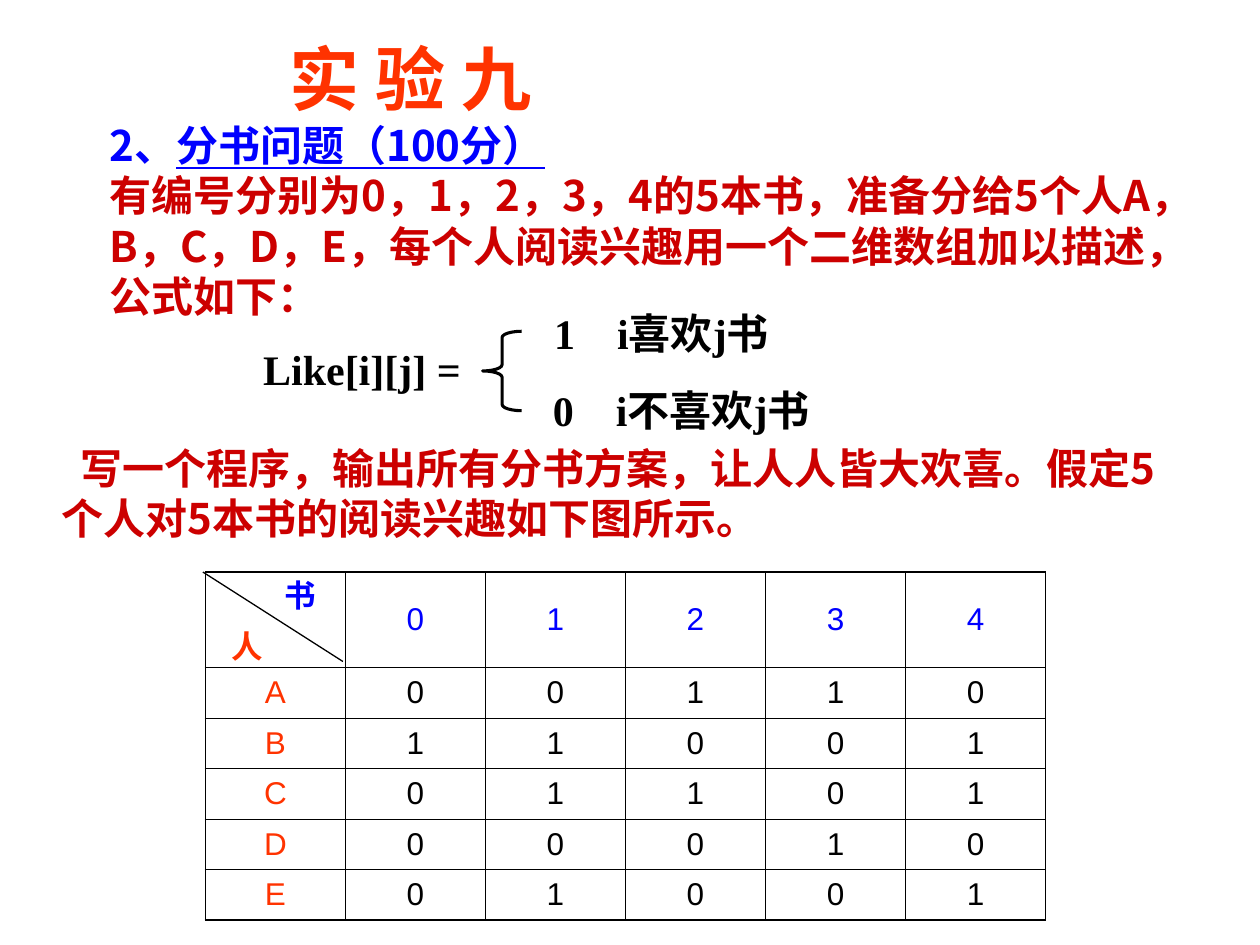
import collections

import pptx
import pptx.dml.color
import pptx.enum.shapes
import pptx.enum.text
import pptx.oxml
import pptx.oxml.ns
import pptx.util

RGBColor = pptx.dml.color.RGBColor
BLACK = RGBColor(0x00, 0x00, 0x00)
BLUE = RGBColor(0x00, 0x00, 0xFF)
ORANGE = RGBColor(0xFF, 0x33, 0x00)
RED = RGBColor(0xCC, 0x00, 0x00)
HEITI, SERIF, SANS = "Noto Sans CJK SC", "Times New Roman", "Arial"
ALIGN = pptx.enum.text.PP_ALIGN
ANCHOR = pptx.enum.text.MSO_ANCHOR

GRID = pptx.util.Inches(0.1)  # the slide is 100 columns by 75 rows
Box = collections.namedtuple("Box", "column row columns rows")

BOOKS = "01234"
LIKES = {"A": "00110", "B": "11001", "C": "01101", "D": "00010", "E": "01001"}


def grid(count):
    return pptx.util.Emu(round(count * GRID))


def place(shape, box):
    shape.left, shape.top, shape.width, shape.height = map(grid, box)


def inside(box, column, row, columns, rows):
    """Box whose position is counted from the corner of another box."""
    return Box(box.column + column, box.row + row, columns, rows)


def child(parent, xml):
    element = pptx.oxml.parse_xml(xml % pptx.oxml.ns.nsdecls("a"))
    parent.append(element)
    return element


def add_run(paragraph, text, size, color, font=HEITI, bold=True, underline=False):
    run = paragraph.add_run()
    run.text = text
    run.font.size = pptx.util.Pt(size)
    run.font.bold = bold
    run.font.underline = underline
    run.font.color.rgb = color
    run.font.name = font
    child(run.font._element, '<a:ea %s typeface="' + HEITI + '"/>')


def format_paragraph(paragraph, line_points=None, left=0, first=0,
                     align=ALIGN.LEFT, before=0):
    """Set spacing in points and indents in grid columns."""
    paragraph.alignment = align
    paragraph.space_before = pptx.util.Pt(before)
    if line_points:
        paragraph.line_spacing = pptx.util.Pt(line_points)
    properties = paragraph._p.get_or_add_pPr()
    properties.set("marL", str(grid(left)))
    properties.set("indent", str(grid(first)))


def add_text_box(slide, box, wrap=True):
    shape = slide.shapes.add_textbox(*map(grid, box))
    shape.text_frame.word_wrap = wrap
    return shape.text_frame.paragraphs[0]


def fill_title(slide, box):
    """Heading and problem statement in the title placeholder."""
    title = slide.shapes.title
    place(title, box)
    frame = title.text_frame
    frame.word_wrap = True
    frame.auto_size = pptx.enum.text.MSO_AUTO_SIZE.NONE
    frame.vertical_anchor = ANCHOR.MIDDLE
    heading, subject, statement = (
        frame.paragraphs[0], frame.add_paragraph(), frame.add_paragraph())
    format_paragraph(heading, 48, left=19.3)
    add_run(heading, "实 验 九", 40, ORANGE)
    format_paragraph(subject, 28.8, left=5)
    add_run(subject, "2、", 24, BLUE)
    add_run(subject, "分书问题（100分）", 24, BLUE, underline=True)
    format_paragraph(statement, 28.8, left=5)
    add_run(statement, "有编号分别为0，1，2，3，4的5本书，准备分给5个人A，B，C，D，E，"
            "每个人阅读兴趣用一个二维数组加以描述，公式如下：", 24, RED)


def add_formula(slide, box):
    """Definition by cases, with a brace between its two sides."""
    name = add_text_box(slide, inside(box, 0, 2.9, 18.2, 5), wrap=False)
    format_paragraph(name, 28.8)
    add_run(name, "Like[i][j] =", 24, BLACK, SERIF)

    brace = slide.shapes.add_shape(
        pptx.enum.shapes.MSO_SHAPE.LEFT_BRACE,
        *map(grid, inside(box, 18.4, 2.4, 3.1, 6.3)))
    brace.adjustments[0] = 0.16
    brace.shadow.inherit = False
    brace.fill.background()
    brace.line.color.rgb = BLACK
    brace.line.width = pptx.util.Pt(1.75)

    cases = (("1\ti喜欢j书", 23.1, 0), ("0\ti不喜欢j书", 23, 6.1))
    for text, column, row in cases:
        case = add_text_box(slide, inside(box, column, row, 29.3, 5))
        format_paragraph(case, 28.8)
        child(case._p.get_or_add_pPr(),
              f'<a:tabLst %s><a:tab pos="{grid(4.1)}" algn="l"/></a:tabLst>')
        add_run(case, text, 24, BLACK, SERIF)


def add_task(slide, box):
    task = add_text_box(slide, box)
    format_paragraph(task, 28.8, first=1.5)
    add_run(task, "写一个程序，输出所有分书方案，让人人皆大欢喜。"
            "假定5个人对5本书的阅读兴趣如下图所示。", 24, RED)


def set_borders(cell, outer_sides):
    properties = cell._tc.get_or_add_tcPr()
    lines = []
    for side in "LRTB":
        width = pptx.util.Pt(1.08 if side in outer_sides else 0.45)
        lines.append(pptx.oxml.parse_xml(
            f'<a:ln{side} {pptx.oxml.ns.nsdecls("a")} w="{width}"><a:solidFill>'
            f'<a:srgbClr val="{BLACK}"/></a:solidFill></a:ln{side}>'))
    for position, line in enumerate(lines):
        properties.insert(position, line)


def fill_corner(cell):
    cell.vertical_anchor = ANCHOR.TOP
    cell.margin_bottom = 0
    book = cell.text_frame.paragraphs[0]
    person = cell.text_frame.add_paragraph()
    format_paragraph(book, 22, left=5.3)
    add_run(book, "书", 18, BLUE, SANS)
    format_paragraph(person, 22, left=1.1, before=7)
    add_run(person, "人", 18, ORANGE, SANS)


def add_likes_table(slide, box, header_rows=7.6):
    """Who likes which book, with a divided corner cell."""
    values = [" " + BOOKS] + [person + likes for person, likes in LIKES.items()]
    last_row, last_column = len(values) - 1, len(BOOKS)
    frame = slide.shapes.add_table(last_row + 1, last_column + 1, *map(grid, box))
    table = frame.table
    column_width = box.columns / (last_column + 1)
    for column in table.columns:
        column.width = grid(column_width)
    for index, row in enumerate(table.rows):
        row.height = grid((box.rows - header_rows) / last_row if index else header_rows)

    for row, line in enumerate(values):
        for column, value in enumerate(line):
            cell = table.cell(row, column)
            cell.fill.background()
            edges = {"L": column == 0, "R": column == last_column,
                     "T": row == 0, "B": row == last_row}
            set_borders(cell, [side for side, outer in edges.items() if outer])
            if row == column == 0:
                fill_corner(cell)
                continue
            cell.vertical_anchor = ANCHOR.MIDDLE
            paragraph = cell.text_frame.paragraphs[0]
            format_paragraph(paragraph, align=ALIGN.CENTER)
            color = BLUE if row == 0 else ORANGE if column == 0 else BLACK
            add_run(paragraph, value, 18, color, SANS, bold=False)

    diagonal = slide.shapes.add_connector(
        pptx.enum.shapes.MSO_CONNECTOR.STRAIGHT,
        grid(box.column - 0.2), grid(box.row),
        grid(box.column - 0.2 + column_width), grid(box.row + 7.1))
    diagonal.line.color.rgb = BLACK
    diagonal.line.width = pptx.util.Pt(0.75)
    child(diagonal._element.spPr, "<a:effectLst %s/>")


def main():
    presentation = pptx.Presentation()
    presentation.slide_width, presentation.slide_height = grid(100), grid(75)
    slide = presentation.slides.add_slide(
        presentation.slide_layouts.get_by_name("Title Only"))
    fill_title(slide, Box(2.7, 2.3, 93.7, 23.7))
    add_formula(slide, Box(19.9, 23.9, 52.3, 11.1))
    add_task(slide, Box(3.9, 34.6, 92.1, 9))
    add_likes_table(slide, Box(16.3, 45.4, 66.7, 27.6))
    presentation.save("out.pptx")


if __name__ == "__main__":
    main()
